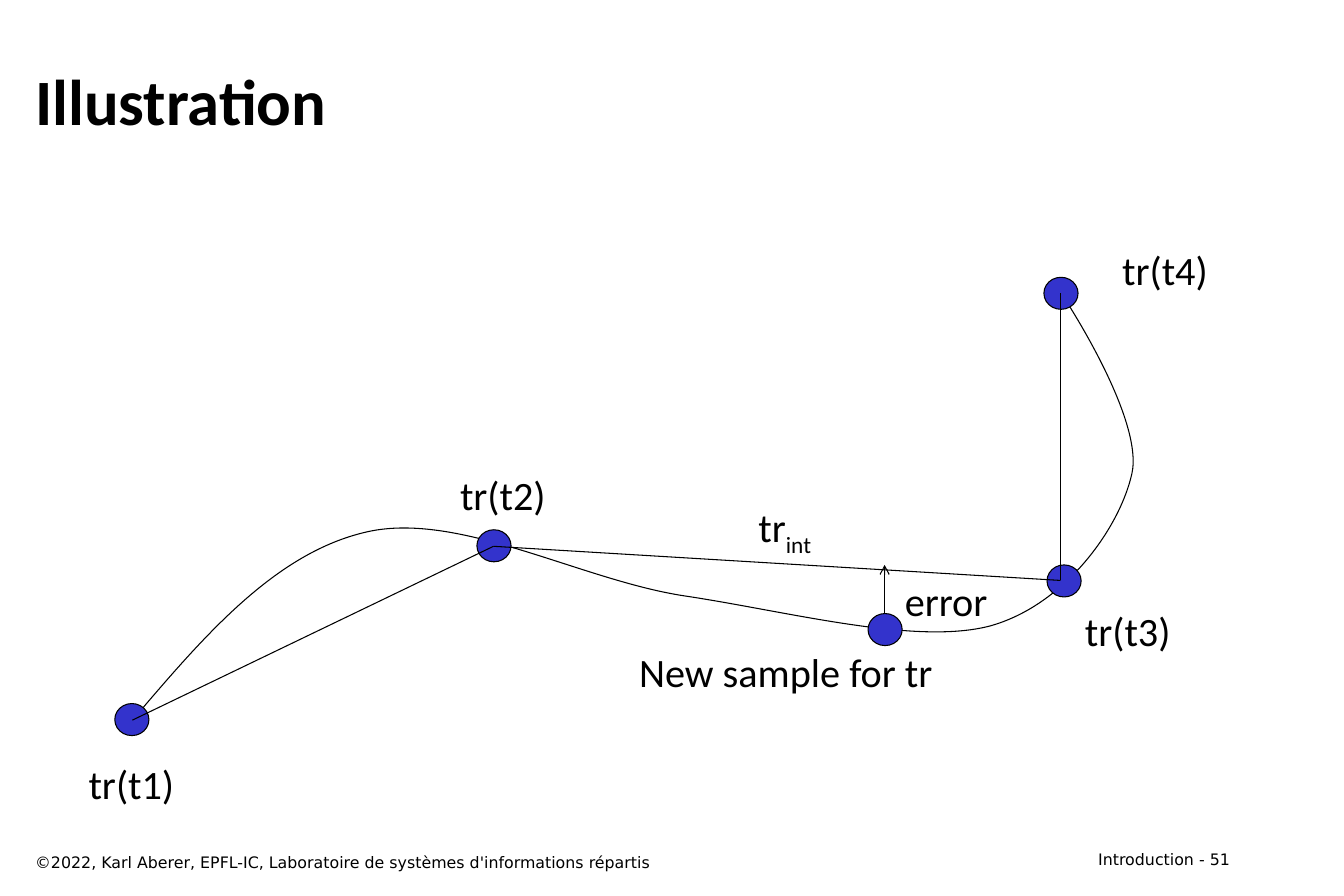
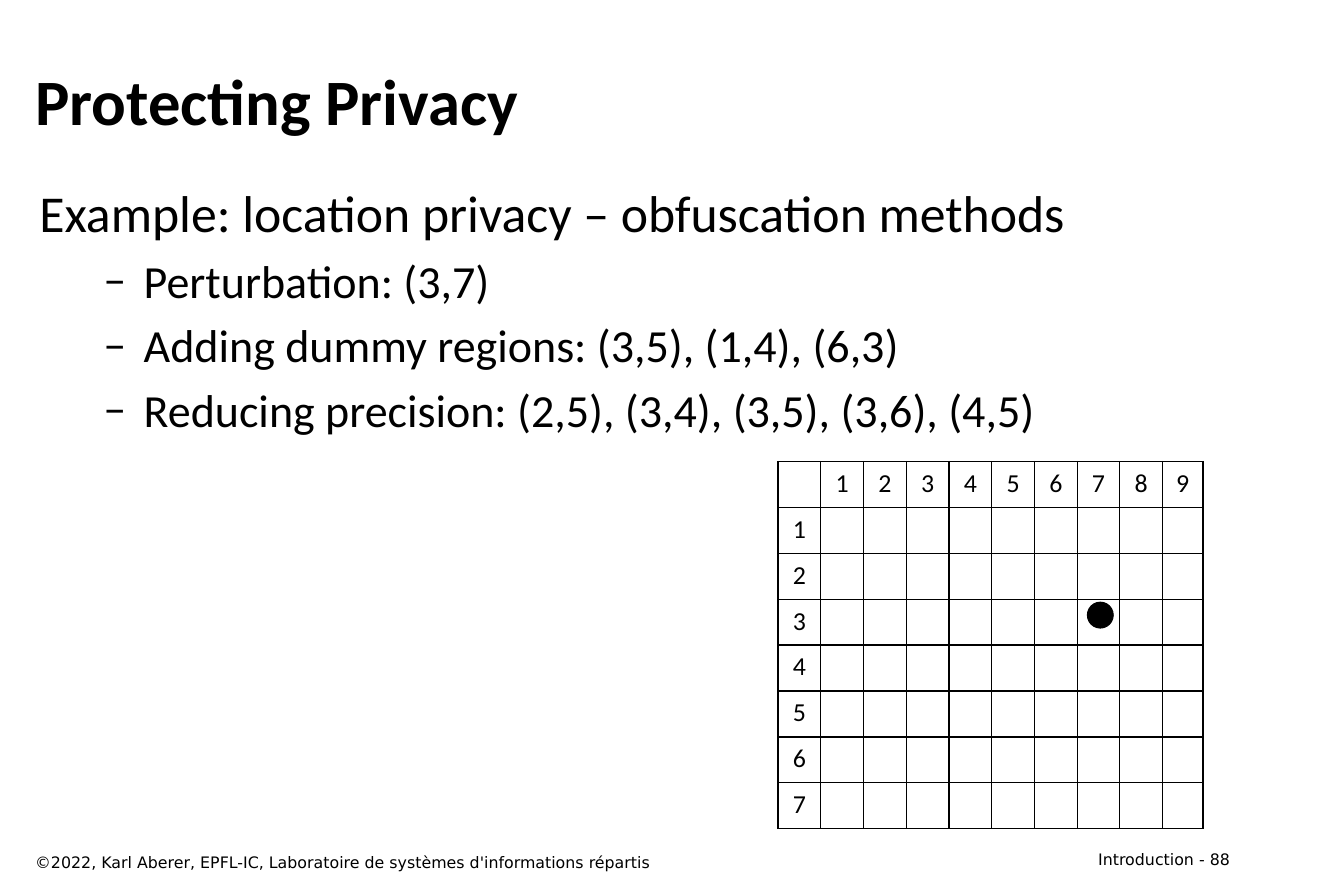
"""Build two lecture slides: trajectory interpolation and location privacy."""
from lxml.etree import SubElement
from pptx import Presentation
from pptx.dml.color import RGBColor
from pptx.enum.shapes import MSO_CONNECTOR, MSO_SHAPE
from pptx.enum.text import MSO_ANCHOR, PP_ALIGN
from pptx.oxml.ns import qn
from pptx.util import Inches, Pt

COLORS = {"ink": "000000", "dot": "3333CC"}
INK = RGBColor.from_string(COLORS["ink"])
BODY, FOOT = "Calibri", "DejaVu Sans"
LEFT, CENTER, RIGHT = PP_ALIGN.LEFT, PP_ALIGN.CENTER, PP_ALIGN.RIGHT


def text(s, at, words, size=28, font=BODY, bold=False, align=LEFT, anchor=MSO_ANCHOR.TOP,
         inset=(0.12, 0.06), wrap=True, sub="", bullets=(), bullet_size=32):
    tf = s.shapes.add_textbox(*map(Inches, at)).text_frame
    tf.word_wrap, tf.vertical_anchor = wrap, anchor
    tf.margin_left = tf.margin_right = Inches(inset[0])
    tf.margin_top = tf.margin_bottom = Inches(inset[1])
    p = tf.paragraphs[0]
    p.alignment = align
    p.add_run().text = words
    if sub:
        r = p.add_run()
        r.text = sub
        r._r.get_or_add_rPr().set("baseline", "-25000")
    for item in bullets:
        p = tf.add_paragraph()
        p.add_run().text = item
        p.level = 1
        p.space_before = Pt(0.2 * bullet_size)
        pPr = p._p.get_or_add_pPr()
        pPr.set("marL", str(Inches(1.01)))
        pPr.set("indent", str(Inches(-0.39)))
        SubElement(pPr, qn("a:buFont")).set("typeface", font)
        SubElement(pPr, qn("a:buChar")).set("char", "–")
    for i, p in enumerate(tf.paragraphs):
        for r in p.runs:
            r.font.name, r.font.bold = font, bold
            r.font.size = Pt(bullet_size if i else size)
            r.font.color.rgb = INK


def dot(s, x, y, w=0.33, h=0.31, color="dot"):
    sp = s.shapes.add_shape(MSO_SHAPE.OVAL, *map(Inches, (x, y, w, h)))
    sp.shadow.inherit = False
    sp.fill.solid()
    sp.fill.fore_color.rgb = RGBColor.from_string(COLORS[color])
    sp.line.color.rgb, sp.line.width = INK, Pt(0.75)


prs = Presentation()
prs.slide_width, prs.slide_height = Inches(12.99), Inches(8.66)

slides = []
for title, number in (("Illustration", 51), ("Protecting Privacy", 88)):
    s = prs.slides.add_slide(prs.slide_layouts[6])
    text(s, (9.3, 8.15, 2.71, 0.29), f"Introduction - {number}", size=11, font=FOOT, align=RIGHT)
    text(s, (0.22, 0.38, 11.8, 1.16), title, size=45, bold=True, anchor=MSO_ANCHOR.MIDDLE)
    text(s, (0.22, 8.18, 8.34, 0.29), size=11, font=FOOT,
         words="©2022, Karl Aberer, EPFL-IC, Laboratoire de systèmes d'informations répartis")
    slides.append(s)
graph, privacy = slides

start = (1.28, 6.96)
curve_points = [
    (1.97, 6.15), (2.66, 5.34), (3.55, 5.14),
    (4.44, 4.94), (5.62, 5.61), (6.62, 5.76),
    (7.62, 5.91), (8.85, 6.24), (9.57, 6.05),
    (10.29, 5.85), (10.82, 5.11), (10.94, 4.58),
    (11.06, 4.05), (10.28, 2.87), (10.28, 2.87),
    (10.17, 2.58), (10.21, 2.71), (10.26, 2.85),
]
fb = graph.shapes.build_freeform(*map(Inches, start))
fb.add_line_segments([tuple(map(Inches, pt)) for pt in curve_points], close=False)
curve = fb.convert_to_shape()
curve.shadow.inherit = False
curve.fill.background()
curve.line.color.rgb, curve.line.width = INK, Pt(0.75)
outline = next(curve._element.iter(qn("a:path")))
segments = outline.findall(qn("a:lnTo"))
for i in range(0, len(segments), 3):
    bezier = SubElement(outline, qn("a:cubicBezTo"))
    for segment in segments[i:i + 3]:
        bezier.append(segment[0])
        outline.remove(segment)

for x, y in ((1.11, 6.8), (4.61, 5.12), (10.12, 5.46), (10.09, 2.68)):
    dot(graph, x, y)

for x1, y1, x2, y2, arrow in (
    (1.28, 6.96, 4.77, 5.28, False),
    (4.77, 5.28, 10.25, 5.61, False),
    (10.25, 5.61, 10.25, 2.83, False),
    (8.55, 5.46, 8.55, 6.08, True),
):
    cn = graph.shapes.add_connector(MSO_CONNECTOR.STRAIGHT, *map(Inches, (x1, y1, x2, y2)))
    cn.line.color.rgb, cn.line.width = INK, Pt(0.75)
    if arrow:
        for end in ("a:headEnd", "a:tailEnd"):
            SubElement(cn.line._get_or_add_ln(), qn(end)).set("type", "arrow")
    SubElement(cn._element.spPr, qn("a:effectLst"))
dot(graph, 8.39, 5.93)

for x, y, w, label, sub in (
    (0.75, 7.29, 1.04, "tr(t1)", ""),
    (4.34, 4.5, 1.04, "tr(t2)", ""),
    (10.38, 5.81, 1.04, "tr(t3)", ""),
    (10.74, 2.32, 1.04, "tr(t4)", ""),
    (7.21, 4.81, 0.75, "tr", "int"),
    (6.06, 6.21, 3.07, "New sample for tr", ""),
    (8.64, 5.52, 1.01, "error", ""),
):
    text(graph, (x, y, w, 0.57), label, sub=sub, align=CENTER, inset=(0.1, 0.05), wrap=False)

text(privacy, (0.26, 1.69, 11.8, 6.35), "Example: location privacy – obfuscation methods", size=36,
     bullets=("Perturbation: (3,7)", "Adding dummy regions: (3,5), (1,4), (6,3)",
              "Reducing precision: (2,5), (3,4), (3,5), (3,6), (4,5)"))

ROWS, COLS = 8, 10
WIDTH, HEIGHT, LAST = 4.11, 3.55, 0.39
tbl = privacy.shapes.add_table(ROWS, COLS, *map(Inches, (7.52, 4.46, WIDTH, HEIGHT))).table
tbl.first_row = tbl.horz_banding = False
for row in tbl.rows:
    row.height = Inches(HEIGHT / ROWS)
for col in tbl.columns:
    col.width = Inches((WIDTH - LAST) / (COLS - 1))
tbl.columns[COLS - 1].width = Inches(LAST)
for r in range(ROWS):
    for c in range(COLS):
        cell = tbl.cell(r, c)
        cell.margin_left = cell.margin_right = Inches(0.13)
        cell.margin_top = cell.margin_bottom = Inches(0.06)
        if (r == 0) != (c == 0):
            p = cell.text_frame.paragraphs[0]
            p.alignment = CENTER
            run = p.add_run()
            run.text = str(r + c)
            run.font.name, run.font.size, run.font.color.rgb = BODY, Pt(18), INK
        tcPr = cell._tc.get_or_add_tcPr()
        for side in ("a:lnL", "a:lnR", "a:lnT", "a:lnB"):
            ln = SubElement(tcPr, qn(side), w=str(Pt(1)))
            fill = SubElement(ln, qn("a:solidFill"))
            SubElement(fill, qn("a:srgbClr"), val=COLORS["ink"])
        cell.fill.background()
dot(privacy, 10.51, 5.82, 0.25, 0.25, "ink")

prs.save("out.pptx")
